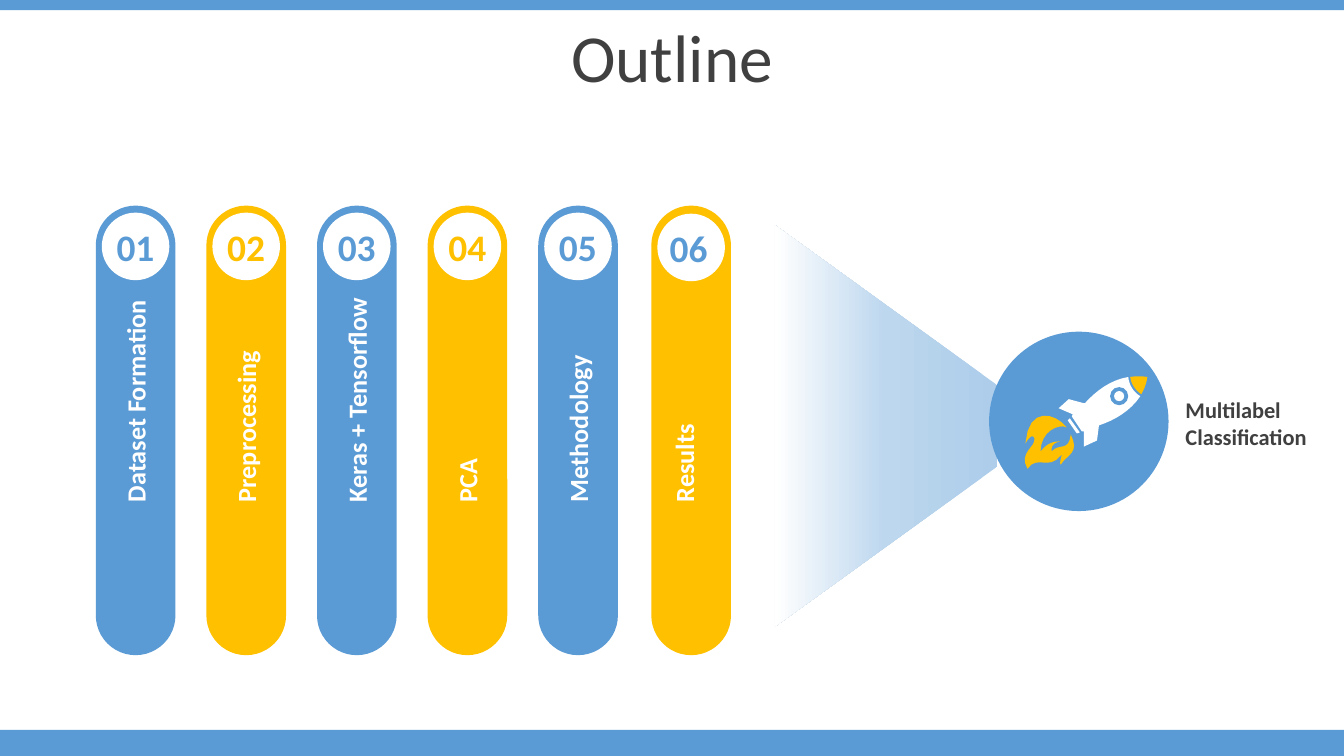
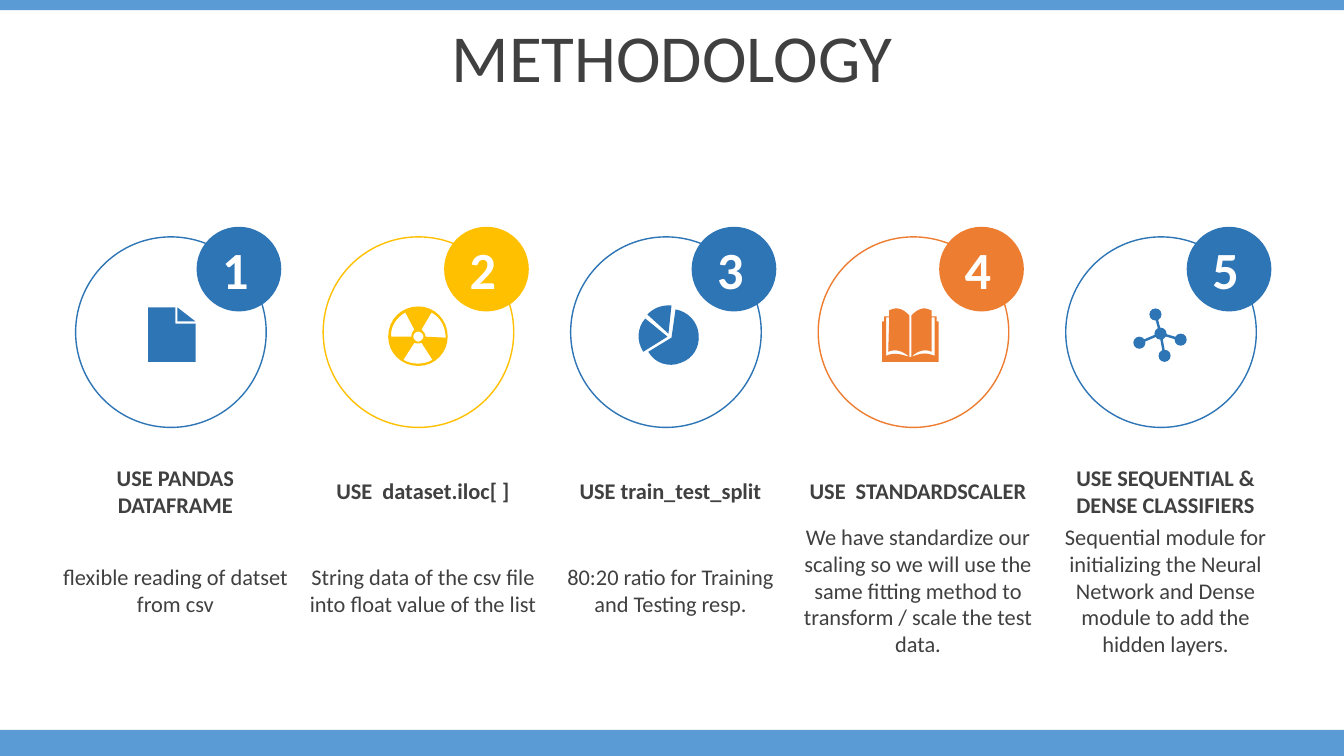
from copy import deepcopy

from pptx import Presentation
from pptx import util as u
from pptx.dml.color import RGBColor
from pptx.enum import shapes, text
from pptx.oxml import ns, xmlchemy

COLORS = {"blue": "5B9BD5", "deep": "2E75B6", "gold": "FFC000", "orange": "ED7D31",
          "dark": "404040", "white": "FFFFFF", "pale": "BDD7EE", "sky": "ADCDEA"}
FONT = "Calibri"
KIND = shapes.MSO_SHAPE
ALIGN = text.PP_ALIGN
ANCHOR = text.MSO_ANCHOR


def draw(slide, kind, box, fill=None, line=None):
    """Add a preset shape; box is left, top, width, height in inches."""
    shape = slide.shapes.add_shape(kind, *map(u.Inches, box))
    shape.shadow.inherit = False
    if fill:
        shape.fill.solid()
        shape.fill.fore_color.rgb = RGBColor.from_string(COLORS[fill])
    else:
        shape.fill.background()
    if line:
        shape.line.color.rgb = RGBColor.from_string(COLORS[line])
        shape.line.width = u.Pt(1)
    else:
        shape.line.fill.background()
    return shape


def write(shape, content, size=16, color="dark", bold=False, align=ALIGN.CENTER,
          anchor=ANCHOR.MIDDLE, margins=(0.1, 0.05, 0.1, 0.05), spacing=None):
    """Fill a shape with one formatted paragraph."""
    frame = shape.text_frame
    frame.word_wrap = True
    frame.auto_size = text.MSO_AUTO_SIZE.NONE
    frame.vertical_anchor = anchor
    (frame.margin_left, frame.margin_top,
     frame.margin_right, frame.margin_bottom) = map(u.Inches, margins)
    paragraph = frame.paragraphs[0]
    paragraph.alignment = align
    paragraph.line_spacing = spacing
    run = paragraph.add_run()
    run.text = content
    run.font.name = FONT
    run.font.size = u.Pt(size)
    run.font.bold = bold
    run.font.color.rgb = RGBColor.from_string(COLORS[color])


presentation = Presentation()
presentation.slide_width = u.Inches(13.33)
presentation.slide_height = u.Inches(7.5)

# Shared layout: title place and the two bands
layout = presentation.slide_layouts[5]
layout_title = layout.placeholders[0]
layout_title.left, layout_title.top = u.Inches(0), u.Inches(0.18)
layout_title.width, layout_title.height = u.Inches(13.33), u.Inches(0.84)

outline = presentation.slides.add_slide(layout)
methodology = presentation.slides.add_slide(layout)
for top, height in ((7.24, 0.26), (0, 0.1)):
    band = draw(outline, KIND.RECTANGLE, (0, top, 13.33, height), "blue")
    layout.element.cSld.spTree.insert(2, band.element)
for slide, title in ((outline, "Outline"), (methodology, "METHODOLOGY")):
    write(slide.shapes.title, title, size=48, spacing=0.9)

# Outline: light beam
beam = draw(outline, KIND.TRAPEZOID, (6.79, 3.12, 3.99, 2.21), "pale")
beam.rotation = 90
beam.adjustments[0] = 0.72
beam.fill.gradient()
beam.fill.gradient_angle = 270
stop_list = beam.element.find(".//" + ns.qn("a:gsLst"))
stop_list.append(deepcopy(stop_list[-1]))
for stop, (position, color) in zip(beam.fill.gradient_stops,
                                   ((0, "sky"), (0.5, "pale"), (1, "white"))):
    stop.position = position
    stop.color.rgb = RGBColor.from_string(COLORS[color])

# Outline: numbered bars (left, bar colour, number colour, label, label shift)
topics = ["Dataset Formation", "Preprocessing", "Keras + Tensorflow", "PCA",
          "Methodology", "Results"]
for index, topic in enumerate(topics):
    last = index == len(topics) - 1
    left = 6.46 if last else 0.95 + 1.097 * index
    color = "gold" if index % 2 else "blue"
    bar = draw(outline, KIND.ROUNDED_RECTANGLE, (left, 2.04, 0.79, 4.46), color)
    bar.adjustments[0] = 0.5
    disc = draw(outline, KIND.OVAL, (left + 0.06, 2.12 if last else 2.11, 0.67, 0.67), "white")
    write(disc, f"{index + 1:02}", size=26.7, color="blue" if last else color, bold=True,
          margins=(0, 0, 0.05 if last else 0, 0))
    center = left + (0.32 if last else 0.39)
    label = outline.shapes.add_textbox(*map(u.Inches, (center - 1.2, 3.67, 2.4, 0.42)))
    label.rotation = 270
    write(label, topic, size=18.7, color="white", bold=True, align=ALIGN.LEFT)

# Outline: goal
draw(outline, KIND.OVAL, (9.81, 3.29, 1.78, 1.78), "blue")
goal = outline.shapes.add_textbox(*map(u.Inches, (11.66, 3.88, 1.6, 0.64)))
write(goal, "Multilabel Classification", bold=True, align=ALIGN.LEFT, anchor=ANCHOR.TOP)

# Methodology: five steps
steps = [
    ("deep", "USE PANDAS DATAFRAME", "ﬂexible reading of datset from csv"),
    ("gold", "USE  dataset.iloc[ ]", "String data of the csv ﬁle into ﬂoat value of the list"),
    ("deep", "USE train_test_split", "80:20 ratio for Training and Testing resp."),
    ("orange", "USE  STANDARDSCALER", "We have standardize our scaling so we will use the same "
     "ﬁtting method to transform / scale the test data."),
    ("deep", "USE SEQUENTIAL & DENSE CLASSIFIERS", "Sequential module for initializing the "
     "Neural Network and Dense module to add the hidden layers."),
]
for index, (color, heading, detail) in enumerate(steps):
    left = 0.75 + 2.455 * index
    draw(methodology, KIND.OVAL, (left, 2.35, 1.89, 1.89), line=color)
    badge = draw(methodology, KIND.OVAL, (left + 1.2, 2.25, 0.84, 0.84), color)
    write(badge, str(index + 1), size=37.3, color="white", bold=True, margins=(0, 0, 0.07, 0))
    for content, top, height, bold in ((heading, 4.55, 0.64, True), (detail, 5.13, 1.45, False)):
        box = methodology.shapes.add_textbox(
            *map(u.Inches, (left - 0.25, top, 2.48, height)))
        write(box, content, bold=bold)

# Icon outlines: a pair is a straight step, six numbers are a Bezier step
rocket = [
    [(10.61, 4.15), (10.71, 4.29), (10.68, 4.3), (10.59, 4.17)],
    [(11.19, 3.74), (11.2, 3.82, 11.24, 3.89, 11.31, 3.93),
     (11.21, 4.08, 11.05, 4.17, 10.9, 4.22), (10.88, 4.37), (10.75, 4.43), (10.75, 4.28),
     (10.73, 4.28), (10.63, 4.13), (10.64, 4.11), (10.5, 4.05), (10.6, 3.96), (10.75, 4),
     (10.76, 4), (10.87, 3.88, 11.01, 3.77, 11.19, 3.74)],
]
nose = [[(11.38, 3.74), (11.37, 3.81, 11.35, 3.86, 11.32, 3.91),
         (11.26, 3.87, 11.22, 3.81, 11.21, 3.74), (11.27, 3.73, 11.32, 3.73, 11.38, 3.74)]]
flame = [[
    (10.58, 4.24), (10.5, 4.2, 10.32, 4.28, 10.32, 4.48), (10.39, 4.39, 10.45, 4.38, 10.51, 4.38),
    (10.48, 4.39, 10.42, 4.4, 10.43, 4.48), (10.5, 4.39, 10.6, 4.49, 10.62, 4.31),
    (10.71, 4.5, 10.59, 4.5, 10.52, 4.61), (10.5, 4.58, 10.55, 4.48, 10.52, 4.52),
    (10.4, 4.67, 10.29, 4.51, 10.19, 4.65), (10.1, 4.49, 10.27, 4.44, 10.26, 4.35),
    (10.25, 4.32, 10.22, 4.31, 10.17, 4.4), (10.2, 4.02, 10.47, 4.1, 10.58, 4.24),
]]
page = [
    [(1.47, 3.05), (1.74, 3.05), (1.74, 3.21), (1.94, 3.21), (1.94, 3.59), (1.47, 3.59)],
    [(1.76, 3.05), (1.94, 3.19), (1.76, 3.19)],
]
radiation = [
    [(4.11, 3.4), (4, 3.57), (4.09, 3.62, 4.2, 3.62, 4.29, 3.57), (4.18, 3.4),
     (4.16, 3.41, 4.13, 3.41, 4.11, 3.4)],
    [(4.15, 3.29), (4.12, 3.29, 4.1, 3.31, 4.1, 3.34), (4.1, 3.36, 4.12, 3.39, 4.15, 3.39),
     (4.17, 3.39, 4.2, 3.36, 4.2, 3.34), (4.2, 3.31, 4.17, 3.29, 4.15, 3.29)],
    [(4.28, 3.1), (4.18, 3.27), (4.2, 3.29, 4.22, 3.31, 4.22, 3.34), (4.42, 3.35),
     (4.42, 3.24, 4.37, 3.15, 4.28, 3.1)],
    [(4.02, 3.1), (3.93, 3.15, 3.87, 3.24, 3.88, 3.34), (4.08, 3.34),
     (4.08, 3.31, 4.09, 3.29, 4.11, 3.27)],
    [(4.15, 3.04), (4.31, 3.04, 4.44, 3.17, 4.44, 3.34), (4.44, 3.5, 4.31, 3.63, 4.15, 3.63),
     (3.98, 3.63, 3.85, 3.5, 3.85, 3.34), (3.85, 3.17, 3.98, 3.04, 4.15, 3.04)],
]
pie = [
    [(6.4, 3.16), (6.62, 3.34), (6.38, 3.49), (6.31, 3.38, 6.32, 3.25, 6.4, 3.16)],
    [(6.7, 3.07), (6.82, 3.09, 6.92, 3.19, 6.93, 3.32), (6.94, 3.45, 6.87, 3.56, 6.75, 3.6),
     (6.63, 3.65, 6.49, 3.6, 6.43, 3.49), (6.66, 3.35)],
    [(6.63, 3.03), (6.66, 3.03), (6.63, 3.31), (6.42, 3.12), (6.48, 3.06, 6.55, 3.03, 6.63, 3.03)],
]
book = [[
    (9.02, 3.54), (9.04, 3.54), (9.13, 3.51, 9.17, 3.49, 9.27, 3.53), (9.27, 3.15), (9.24, 3.15),
    (9.24, 3.49), (9.18, 3.46, 9.1, 3.48, 9.04, 3.54), (9.04, 3.13),
    (9.08, 3.09, 9.12, 3.06, 9.17, 3.06), (9.19, 3.06, 9.21, 3.07, 9.24, 3.08), (9.24, 3.14),
    (9.29, 3.14), (9.29, 3.19), (9.31, 3.19), (9.31, 3.59), (8.75, 3.59), (8.75, 3.19),
    (8.77, 3.19), (8.77, 3.14), (8.82, 3.14), (8.82, 3.08), (8.84, 3.07, 8.87, 3.06, 8.89, 3.06),
    (8.94, 3.06, 8.98, 3.09, 9.02, 3.13), (9.02, 3.54), (8.95, 3.48, 8.88, 3.46, 8.81, 3.49),
    (8.82, 3.15), (8.79, 3.15), (8.79, 3.53), (8.88, 3.49, 8.94, 3.52, 9.02, 3.54),
]]

# Icons: flatten the curves and draw each icon as one freeform
icons = [(outline, "white", rocket), (outline, "gold", nose), (outline, "gold", flame),
         (methodology, "deep", page), (methodology, "gold", radiation),
         (methodology, "deep", pie), (methodology, "orange", book)]
for slide, color, contours in icons:
    builder = None
    for contour in contours:
        points = [contour[0]]
        for step in contour[1:]:
            if len(step) == 2:
                points.append(step)
                continue
            curve = [points[-1], step[:2], step[2:4], step[4:]]
            for part in range(1, 9):
                t = part / 8
                weights = ((1 - t) ** 3, 3 * t * (1 - t) ** 2, 3 * t * t * (1 - t), t ** 3)
                points.append(tuple(sum(weight * point[axis] for weight, point
                                        in zip(weights, curve)) for axis in (0, 1)))
        points = [(u.Inches(x), u.Inches(y)) for x, y in points]
        if builder is None:
            builder = slide.shapes.build_freeform(*points[0])
        else:
            builder.move_to(*points[0])
        builder.add_line_segments(points[1:], close=True)
    icon = builder.convert_to_shape()
    icon.shadow.inherit = False
    icon.fill.solid()
    icon.fill.fore_color.rgb = RGBColor.from_string(COLORS[color])
    icon.line.fill.background()

# Rocket window
for radius, color in ((0.09, "blue"), (0.05, "white")):
    draw(outline, KIND.OVAL, (11.1 - radius, 3.93 - radius, 2 * radius, 2 * radius), color)

# Network icon: a hub joined to four nodes
hub = (11.51, 3.31)
nodes = [(11.46, 3.12), (11.71, 3.37), (11.55, 3.53), (11.3, 3.4)]
for node in nodes:
    link = methodology.shapes.add_connector(
        shapes.MSO_CONNECTOR.STRAIGHT, *map(u.Inches, hub + node))
    link.line.color.rgb = RGBColor.from_string(COLORS["deep"])
    link.line.width = u.Pt(1.75)
    link.element.spPr.append(xmlchemy.OxmlElement("a:effectLst"))
for x, y in [hub] + nodes:
    draw(methodology, KIND.OVAL, (x - 0.06, y - 0.06, 0.12, 0.12), "deep")

presentation.save("out.pptx")
